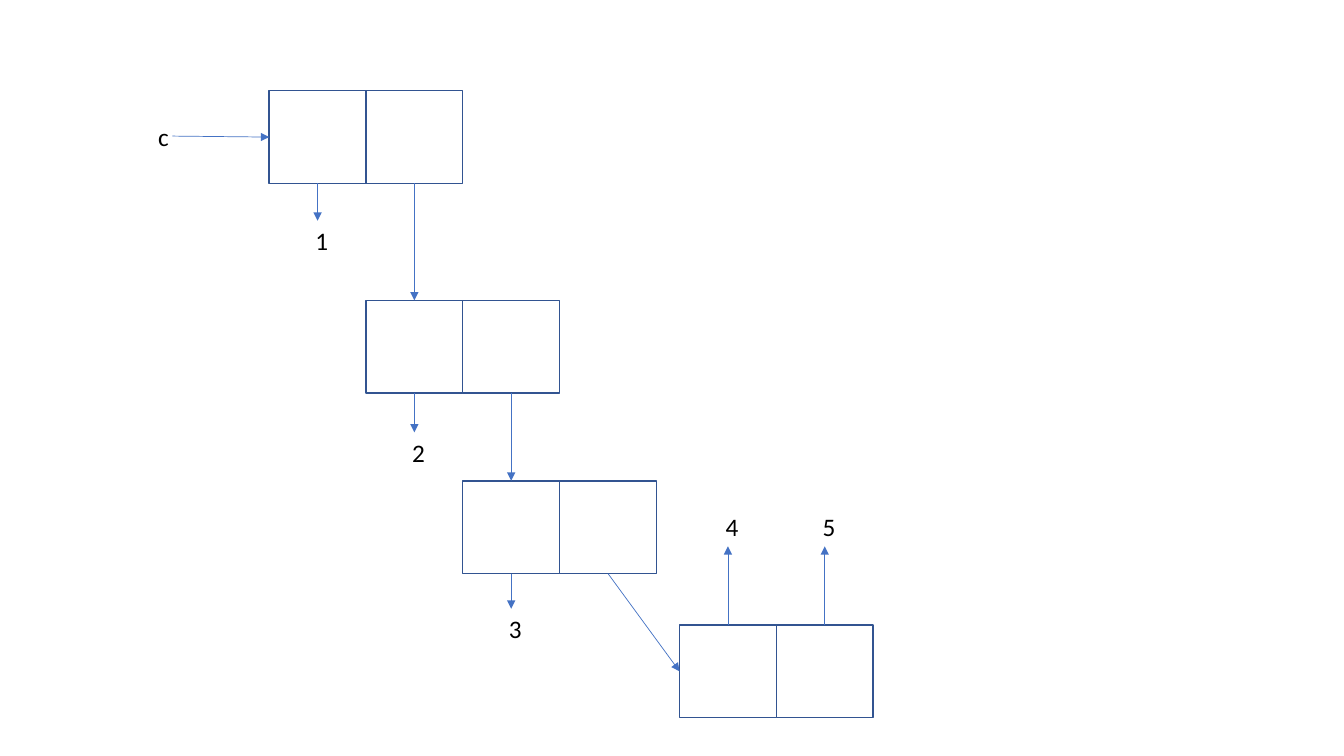
from lxml.etree import SubElement
from pptx import Presentation
from pptx.dml.color import RGBColor
from pptx.enum.shapes import MSO_CONNECTOR as Connector, MSO_SHAPE as Shape
from pptx.enum.text import MSO_AUTO_SIZE as AutoSize, PP_ALIGN as Align
from pptx.oxml.ns import qn
from pptx.util import Pt

EMU_PER_PX = 9144
TOP, LEFT, BOTTOM, RIGHT = range(4)
CELL_WIDTH, CELL_HEIGHT = 96, 92
LABEL_WIDTH, LABEL_HEIGHT = 24, 40


def px(length):
    return length * EMU_PER_PX


def color(hex_string):
    return RGBColor.from_string(hex_string)


def write(shape, text, *, font="Calibri", size=18, fill="000000", align=Align.LEFT):
    paragraph = shape.text_frame.paragraphs[0]
    paragraph.alignment = align
    run = paragraph.add_run()
    run.text = text
    run.font.name = font
    run.font.size = Pt(size)
    run.font.color.rgb = color(fill)


class ListDiagram:
    cell_fill = "FFFFFF"
    cell_line = "325491"
    arrow_line = "4472C4"

    def __init__(self, slide):
        self.slide = slide

    def cell(self, left, top):
        shape = self.slide.shapes.add_shape(
            Shape.RECTANGLE, px(left), px(top), px(CELL_WIDTH), px(CELL_HEIGHT))
        shape.shadow.inherit = False
        shape.fill.solid()
        shape.fill.fore_color.rgb = color(self.cell_fill)
        shape.line.color.rgb = color(self.cell_line)
        shape.line.width = Pt(1)
        return shape

    def pair(self, left, top):
        return self.cell(left, top), self.cell(left + CELL_WIDTH, top)

    def label(self, text, left, top):
        shape = self.slide.shapes.add_textbox(
            px(left), px(top), px(LABEL_WIDTH), px(LABEL_HEIGHT))
        shape.text_frame.word_wrap = True
        shape.text_frame.auto_size = AutoSize.SHAPE_TO_FIT_TEXT
        write(shape, text)
        return shape

    def arrow(self, source, source_side, target, target_side):
        connector = self.slide.shapes.add_connector(Connector.STRAIGHT, 0, 0, 0, 0)
        connector.begin_connect(source, source_side)
        connector.end_connect(target, target_side)
        connector.line.color.rgb = color(self.arrow_line)
        connector.line.width = Pt(0.5)
        SubElement(connector.line._get_or_add_ln(), qn("a:tailEnd"), type="triangle")
        SubElement(connector._element.spPr, qn("a:effectLst"))


def main():
    presentation = Presentation()
    presentation.slide_width = px(1333)
    presentation.slide_height = px(750)
    slide = presentation.slides.add_slide(presentation.slide_layouts[6])
    diagram = ListDiagram(slide)

    first_left = 267
    label_offset = (CELL_WIDTH - LABEL_WIDTH) // 2
    chain = []
    for index, (top, label_top) in enumerate([(90, 219), (298, 429), (477, 604)]):
        left = first_left + index * CELL_WIDTH
        value, link = diagram.pair(left, top)
        label = diagram.label(str(index + 1), left + label_offset, label_top)
        diagram.arrow(value, BOTTOM, label, TOP)
        chain.append((value, link))

    last_left = 674
    last_pair = diagram.pair(last_left, 620)
    for index, cell in enumerate(last_pair):
        label_left = last_left + index * CELL_WIDTH + label_offset
        label = diagram.label(str(index + 4), label_left, 502)
        diagram.arrow(cell, TOP, label, BOTTOM)

    for (_, link), (value, _) in zip(chain, chain[1:]):
        diagram.arrow(link, BOTTOM, value, TOP)
    diagram.arrow(chain[-1][1], BOTTOM, last_pair[0], LEFT)

    variable = diagram.label("c", 147, 115)
    diagram.arrow(variable, RIGHT, chain[0][0], LEFT)

    presentation.save("out.pptx")


if __name__ == "__main__":
    main()
